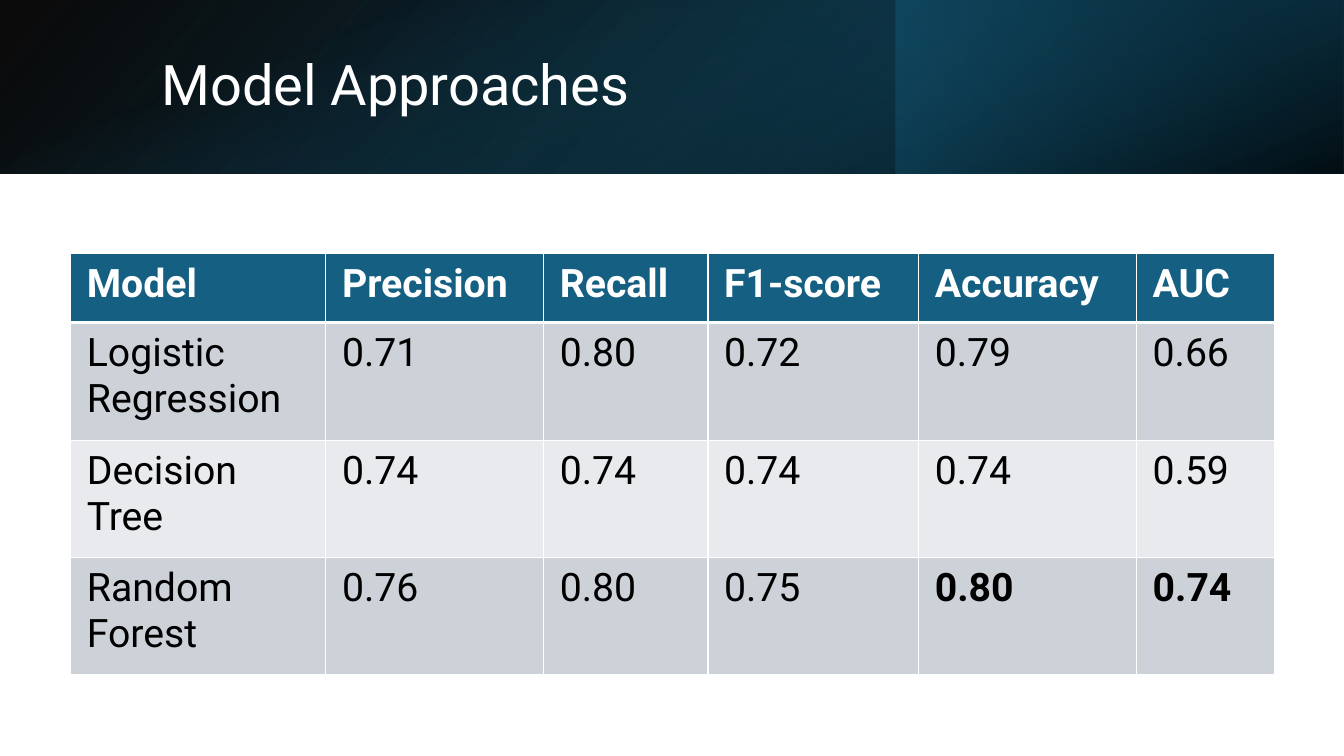
from pptx import Presentation
from pptx.dml.color import RGBColor as Rgb
from pptx.enum.shapes import MSO_SHAPE as Kind
from pptx.enum.text import MSO_ANCHOR as Anchor, MSO_AUTO_SIZE as Fit, PP_ALIGN as Align
from pptx.oxml import parse_xml
from pptx.oxml.ns import nsdecls, qn
from pptx.util import Cm, Pt
from lxml.etree import SubElement

WIDE, HIGH, BAND = 33.87, 19.05, 4.37
HUES = {
    "white": "FFFFFF", "black": "000000", "navy": "104862", "deep": "0B3041",
    "teal": "156082", "odd": "CCD2D8", "even": "E8EAED",
}
COLS = [6.43, 5.49, 4.14, 5.31, 5.49, 3.48]
ROWS = [1.75, 2.96, 2.96, 2.96]
SCORES = [
    ["Model", "Precision", "Recall", "F1-score", "Accuracy", "AUC"],
    ["Logistic Regression", "0.71", "0.80", "0.72", "0.79", "0.66"],
    ["Decision Tree", "0.74", "0.74", "0.74", "0.74", "0.59"],
    ["Random Forest", "0.76", "0.80", "0.75", "0.80", "0.74"],
]
BEST = {(3, 4), (3, 5)}
INSETS = {"margin_left": Cm(0.41), "margin_right": Cm(0.41),
          "margin_top": Cm(0.2), "margin_bottom": Cm(0.2)}


def hue(name):
    return Rgb.from_string(HUES[name])


def assign(item, values):
    for name, value in values.items():
        setattr(item, name, value)


def style(font, size, color, bold=False):
    assign(font, {"name": "Roboto", "size": Pt(size), "bold": bold})
    font.color.rgb = hue(color)


def fade(slide, box, stops, angle, turn=0, flip=False):
    """Rectangle with a two-stop gradient; each stop is place, colour, opacity."""
    left, top, width, height = box
    if turn == 90:  # swap the sides around the centre of the box
        shift = (width - height) / 2
        left, top, width, height = left + shift, top - shift, height, width
    rect = slide.shapes.add_shape(Kind.RECTANGLE, Cm(left), Cm(top), Cm(width), Cm(height))
    rect.shadow.inherit = False
    rect.line.fill.background()
    rect.rotation = turn
    rect.fill.gradient()
    rect.fill.gradient_angle = 360 - angle
    props = rect._element.spPr
    if flip:
        props.find(qn("a:xfrm")).set("flipH", "1")
    nodes = list(props.iter(qn("a:gs")))
    for stop, node, (place, color, alpha) in zip(rect.fill.gradient_stops, nodes, stops):
        stop.position = place / 100
        stop.color.rgb = hue(color)
        SubElement(node[0], qn("a:alpha")).set("val", str(alpha * 1000))


def banner(slide, box):
    left, top, width, height = box
    third = width / 3
    # Layered gradients
    fade(slide, box, [(0, "black", 96), (100, "navy", 100)], 140, flip=True)
    fade(slide, (left + 2 * third, top, third, height),
         [(19, "deep", 68), (100, "teal", 79)], 320, turn=180)
    fade(slide, box, [(23, "teal", 0), (99, "black", 74)], 340, turn=90)
    # Title, brought in front of the gradients
    title = slide.shapes.title
    slide.shapes._spTree.append(title._element)
    assign(title, {"left": Cm(left + 3.81), "top": Cm(top + 0.97),
                   "width": Cm(27.89), "height": Cm(2.44)})
    frame = title.text_frame
    frame.text = "Model Approaches"
    assign(frame, {"word_wrap": True, "auto_size": Fit.NONE,
                   "vertical_anchor": Anchor.MIDDLE})
    para = frame.paragraphs[0]
    assign(para, {"alignment": Align.LEFT, "line_spacing": 0.9})
    style(para.runs[0].font, 40, "white")


def edge(cell, row):
    """White cell borders, heavier under the header."""
    sides = {"L": 1, "R": 1, "T": 3 if row == 1 else 1, "B": 3 if row == 0 else 1}
    props = cell._tc.get_or_add_tcPr()
    for spot, (side, width) in enumerate(sides.items()):
        props.insert(spot, parse_xml(
            f'<a:ln{side} {nsdecls("a")} w="{Pt(width)}"><a:solidFill>'
            f'<a:srgbClr val="{HUES["white"]}"/></a:solidFill></a:ln{side}>'))


def scores(slide, box):
    grid = slide.shapes.add_table(len(ROWS), len(COLS), *map(Cm, box)).table
    for col, width in zip(grid.columns, COLS):
        col.width = Cm(width)
    for row, height in zip(grid.rows, ROWS):
        row.height = Cm(height)
    for r, line in enumerate(SCORES):
        head = r == 0
        for c, text in enumerate(line):
            cell = grid.cell(r, c)
            cell.text = text
            assign(cell, INSETS)
            cell.fill.solid()
            cell.fill.fore_color.rgb = hue("teal" if head else "odd" if r % 2 else "even")
            edge(cell, r)
            style(cell.text_frame.paragraphs[0].runs[0].font, 28,
                  "white" if head else "black", head or (r, c) in BEST)


def main():
    deck = Presentation()
    assign(deck, {"slide_width": Cm(WIDE), "slide_height": Cm(HIGH)})
    slide = deck.slides.add_slide(deck.slide_layouts[5])
    banner(slide, (0, 0, WIDE, BAND))
    scores(slide, (1.78, 6.38, sum(COLS), sum(ROWS)))
    deck.save("out.pptx")


if __name__ == "__main__":
    main()
